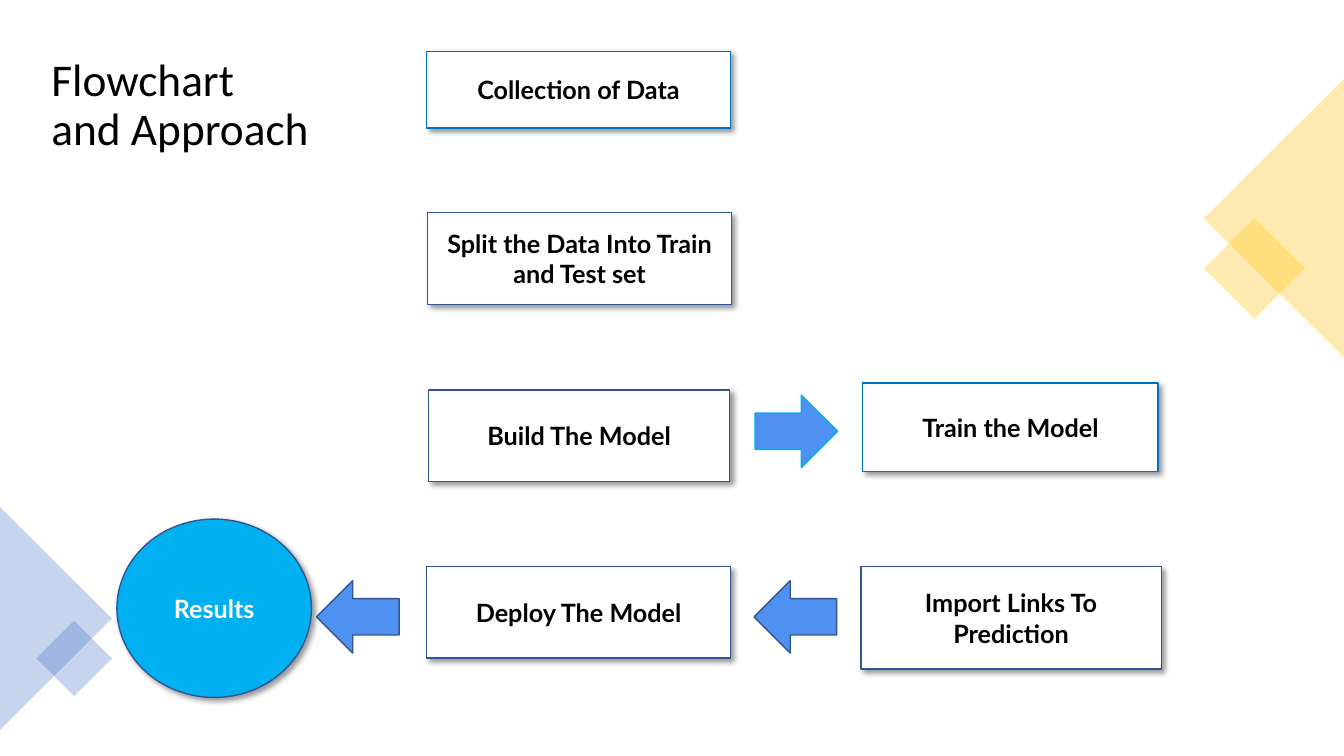
import math

import pptx
import pptx.dml.color
import pptx.enum.shapes
import pptx.enum.text
import pptx.util
from lxml import etree

Pt = pptx.util.Pt
SHAPE = pptx.enum.shapes.MSO_SHAPE
ALIGN = pptx.enum.text.PP_ALIGN
MIDDLE = pptx.enum.text.MSO_ANCHOR.MIDDLE
NS = "{http://schemas.openxmlformats.org/drawingml/2006/main}"

BLUE, NAVY, CYAN, BLACK, WHITE = "0070C0", "325491", "00B0F0", "000000", "FFFFFF"
STEP_FONT = {"name": "Lato", "size": Pt(18), "bold": True}
TITLE_FONT = {"name": "Calibri", "size": Pt(32.4), "bold": False}
FRAME = {"word_wrap": True, "vertical_anchor": MIDDLE,
         "auto_size": pptx.enum.text.MSO_AUTO_SIZE.NONE}
SHADOW = {"blurRad": str(int(Pt(4))), "dist": str(int(Pt(3))),
          "dir": str(45 * 60000), "algn": "tl", "rotWithShape": "0"}

STEPS = [
    ("Collection of Data", SHAPE.RECTANGLE, (221.6, 0.7, 217.4, 54.7), WHITE, BLUE, BLACK),
    ("Split the Data Into Train and Test set", SHAPE.RECTANGLE, (222.3, 115.9, 217.4, 65.5), WHITE, NAVY, BLACK),
    ("Build The Model", SHAPE.RECTANGLE, (223, 242.6, 215.3, 65.5), WHITE, NAVY, BLACK),
    ("Train the Model", SHAPE.RECTANGLE, (533.3, 237.6, 211, 63.4), WHITE, BLUE, BLACK),
    ("Import Links To Prediction", SHAPE.RECTANGLE, (531.9, 368.6, 214.6, 73.4), WHITE, NAVY, BLACK),
    ("Deploy The Model", SHAPE.RECTANGLE, (221.6, 368.6, 217.4, 65.5), WHITE, NAVY, BLACK),
    ("Results", SHAPE.OVAL, (0.5, 334.8, 139, 127.4), CYAN, NAVY, WHITE),
]
ARROWS = [
    (SHAPE.RIGHT_ARROW, 456.3, 246.2, CYAN),
    (SHAPE.LEFT_ARROW, 455.6, 378.7, NAVY),
    (SHAPE.LEFT_ARROW, 143.1, 378.7, NAVY),
]


def rgb(value):
    return pptx.dml.color.RGBColor.from_string(value)


def apply(obj, values):
    for name, value in values.items():
        setattr(obj, name, value)


def add_shape(s, kind, box, fill, line=None):
    sp = s.shapes.add_shape(kind, *map(Pt, box))
    sp.shadow.inherit = False
    sp.fill.solid()
    sp.fill.fore_color.rgb = rgb(fill)
    if line:
        sp.line.color.rgb = rgb(line)
        sp.line.width = Pt(1)
    else:
        sp.line.fill.background()
    return sp


def set_alpha(color, percent):
    etree.SubElement(color, NS + "alpha", val=str(percent * 1000))


def add_shadow(sp):
    effects = sp._element.spPr.find(NS + "effectLst")
    shadow = etree.SubElement(effects, NS + "outerShdw", SHADOW)
    set_alpha(etree.SubElement(shadow, NS + "srgbClr", val=BLACK), 40)


def write(tf, text, align, font, color):
    apply(tf, FRAME)
    p = tf.paragraphs[0]
    p.text = text
    p.alignment = align
    for r in p.runs:
        apply(r.font, font)
        r.font.color.rgb = rgb(color)
    return p


def add_title(s, box):
    sp = s.shapes.title
    apply(sp, dict(zip(("left", "top", "width", "height"), map(Pt, box))))
    p = write(sp.text_frame, "Flowchart\vand Approach", ALIGN.LEFT, TITLE_FONT, BLACK)
    p.line_spacing = 0.9


def add_corner(s, box, side, color, on_right):
    x, y, w, h = box
    reach = side / math.sqrt(2)
    cx = x + reach if on_right else x + w - reach
    cy = y + 0.68 * h
    parts = [
        (SHAPE.ISOSCELES_TRIANGLE, (x + (w - h) / 2, y + (h - w) / 2, h, w), 270 if on_right else 90),
        (SHAPE.RECTANGLE, (cx - side / 2, cy - side / 2, side, side), 45),
    ]
    for kind, place, turn in parts:
        sp = add_shape(s, kind, place, color)
        sp.rotation = turn
        set_alpha(sp._element.spPr.find(NS + "solidFill")[0], 30)


def add_flow(s, box):
    x, y = box[:2]
    for text, kind, (dx, dy, w, h), fill, line, color in STEPS:
        sp = add_shape(s, kind, (x + dx, y + dy, w, h), fill, line)
        add_shadow(sp)
        write(sp.text_frame, text, ALIGN.CENTER, STEP_FONT, color)
    for kind, dx, dy, line in ARROWS:
        add_shape(s, kind, (x + dx, y + dy, 59, 51.8), "4E91F0", line)


def main():
    prs = pptx.Presentation()
    apply(prs, {"slide_width": Pt(960), "slide_height": Pt(540)})
    s = prs.slides.add_slide(prs.slide_layouts[5])
    add_title(s, (29.5, 32.4, 200.9, 86.4))
    add_corner(s, (859.9, 56.2, 100.1, 199.4), 51.1, "FFC000", True)
    add_corner(s, (0, 362.2, 79.9, 159.1), 38.2, "4472C4", False)
    add_flow(s, (83, 36, 746.5, 462.2))
    prs.save("out.pptx")


if __name__ == "__main__":
    main()
